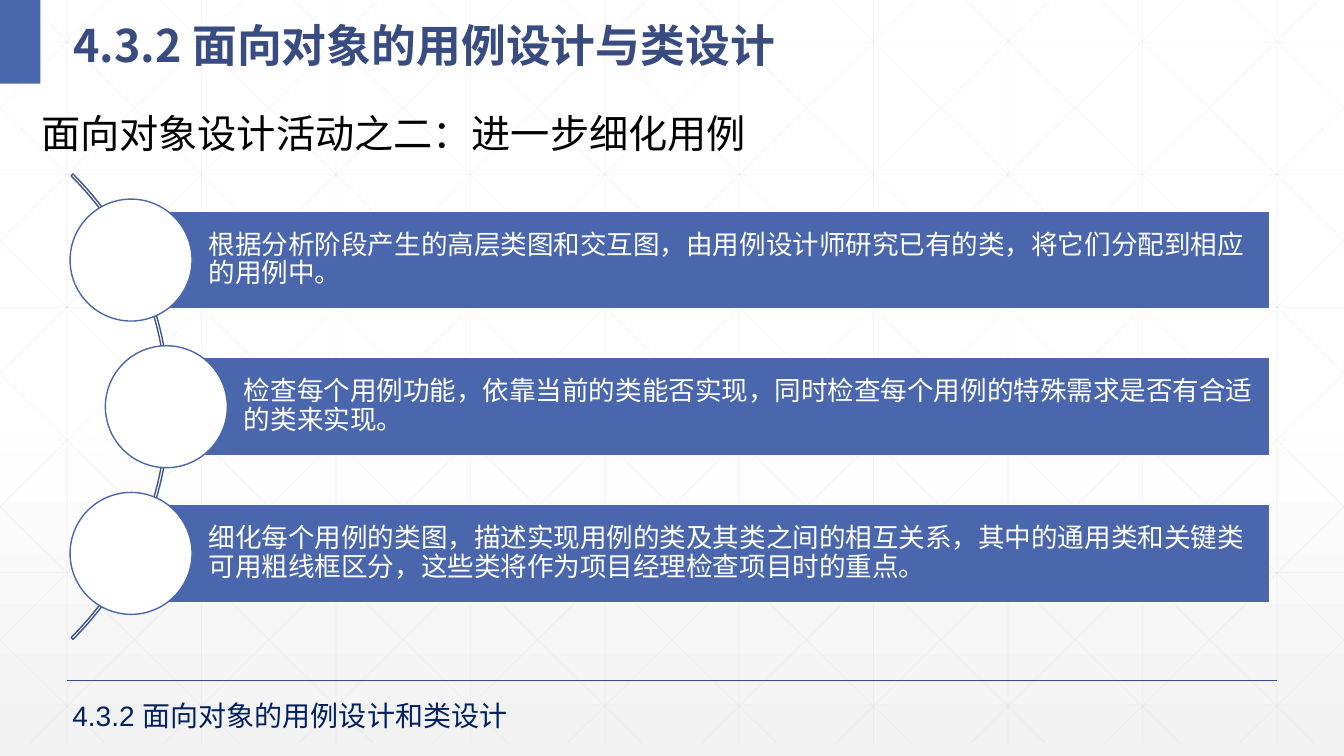
from lxml import etree
from pptx import Presentation
from pptx.dml.color import RGBColor
from pptx.enum.shapes import MSO_CONNECTOR, MSO_SHAPE
from pptx.enum.text import MSO_ANCHOR, PP_ALIGN
from pptx.oxml.ns import qn
from pptx.util import Inches, Pt

STRAIGHT = MSO_CONNECTOR.STRAIGHT
RECT, OVAL, ARC = MSO_SHAPE.RECTANGLE, MSO_SHAPE.OVAL, MSO_SHAPE.BLOCK_ARC
TOP, MIDDLE, LEFT = MSO_ANCHOR.TOP, MSO_ANCHOR.MIDDLE, PP_ALIGN.LEFT

WIDTH, HEIGHT = 13.33, 7.5
COLUMN, ROW = WIDTH / 10, 1.315
GRID_BOTTOM = 7.37
BLUE, DARK_BLUE, WHITE = "4A66AC", "384C81", "FFFFFF"
CJK_FONT = "Noto Sans CJK SC"


def rgb(value):
    return RGBColor.from_string(value)


def write(box, text, size, color, font="Arial", bold=False, spacing=1.0,
          anchor=TOP, wrap=True, left=0.1, inset=0.05):
    frame = box.text_frame
    settings = {"word_wrap": wrap, "vertical_anchor": anchor,
                "margin_left": Inches(left), "margin_right": Inches(inset),
                "margin_top": Inches(0.05), "margin_bottom": Inches(0.05)}
    for name, value in settings.items():
        setattr(frame, name, value)
    para = frame.paragraphs[0]
    para.alignment, para.line_spacing = LEFT, spacing
    span = para.add_run()
    span.text = text
    for name, value in {"size": Pt(size), "name": font, "bold": bold}.items():
        setattr(span.font, name, value)
    span.font.color.rgb = rgb(color)
    latin = span.font._element.find(qn("a:latin"))
    latin.addnext(latin.makeelement(qn("a:ea"), {"typeface": CJK_FONT}))


deck = Presentation()
deck.slide_width, deck.slide_height = Inches(WIDTH), Inches(HEIGHT)
page = deck.slides.add_slide(deck.slide_layouts[6])

# Background: white fading to light grey at the bottom
fill = page.background.fill
fill.gradient()
gradient = page.background._cSld.find(".//" + qn("a:gradFill"))
stops = gradient.find(qn("a:gsLst"))
for stop in list(stops):
    stops.remove(stop)
for percent, color, opacity in [(0, WHITE, 100), (53, WHITE, 100), (100, "F2F2F2", 65)]:
    stop = etree.SubElement(stops, qn("a:gs"), pos=str(percent * 1000))
    tint = etree.SubElement(stop, qn("a:srgbClr"), val=color)
    if opacity < 100:
        etree.SubElement(tint, qn("a:alpha"), val=str(opacity * 1000))
gradient.find(qn("a:lin")).set("ang", str(90 * 60000))

# Faint grid: columns, rows, and diagonals mirrored left to right
grid = []
for column in range(10):
    x = (column + 0.5) * COLUMN
    grid.append((x, 0, x, GRID_BOTTOM))
for row in range(6):
    y = 0.42 + row * ROW
    grid.append((0, y, WIDTH, y))
DIAGONAL_RUN = 7.45
for step in range(-5, 10):
    start = 0.25 + step * COLUMN
    x1, x2 = max(0, start), min(WIDTH, start + DIAGONAL_RUN)
    y1, y2 = [(x - start) / DIAGONAL_RUN * GRID_BOTTOM for x in (x1, x2)]
    grid.append((x1, y1, x2, y2))
    grid.append((WIDTH - x1, y1, WIDTH - x2, y2))

# Draw the grid, then the footer rule
footer_rule = (COLUMN / 2, 6.75, WIDTH - COLUMN / 2, 6.75)
lines = [(ends, "D9D9D9", 0.5, 25) for ends in grid] + [(footer_rule, DARK_BLUE, 1, 100)]
for ends, color, weight, opacity in lines:
    line = page.shapes.add_connector(STRAIGHT, *[Inches(end) for end in ends])
    line.line.color.rgb, line.line.width = rgb(color), Pt(weight)
    properties = line._element.spPr
    if opacity < 100:
        tint = properties.find(".//" + qn("a:srgbClr"))
        etree.SubElement(tint, qn("a:alpha"), val=str(opacity * 1000))
    etree.SubElement(properties, qn("a:effectLst"))

# Shapes: corner block, arc, then a bar and a circle for each step
ARC_SIZE, CIRCLE = 6.53, 1.21
BAR_RIGHT, BAR_HEIGHT = 12.59, 0.97
FIRST_CENTER, PITCH = 2.58, 1.455
steps = [
    (1.3, "根据分析阶段产生的高层类图和交互图，由用例设计师研究已有的类，将它们分配到相应的用例中。"),
    (1.65, "检查每个用例功能，依靠当前的类能否实现，同时检查每个用例的特殊需求是否有合适的类来实现。"),
    (1.3, "细化每个用例的类图，描述实现用例的类及其类之间的相互关系，其中的通用类和关键类可用粗线框区分，这些类将作为项目经理检查项目时的重点。"),
]
shapes = [
    (RECT, 0, 0, 0.4, 0.83, BLUE, None, ""),
    (ARC, -4.85, 0.77, ARC_SIZE, ARC_SIZE, None, "3B528A", ""),
]
for index, (left, text) in enumerate(steps):
    center = FIRST_CENTER + index * PITCH
    shapes.append((RECT, left, center - BAR_HEIGHT / 2, BAR_RIGHT - left, BAR_HEIGHT,
                   BLUE, WHITE, text))
    shapes.append((OVAL, left - CIRCLE / 2, center - CIRCLE / 2, CIRCLE, CIRCLE,
                   WHITE, BLUE, ""))
for kind, left, top, width, height, inside, outline, text in shapes:
    shape = page.shapes.add_shape(kind, *[Inches(v) for v in (left, top, width, height)])
    shape.shadow.inherit = False
    if inside:
        shape.fill.solid()
        shape.fill.fore_color.rgb = rgb(inside)
    else:
        shape.fill.background()
    if outline:
        shape.line.color.rgb, shape.line.width = rgb(outline), Pt(1)
    else:
        shape.line.fill.background()
    if kind == ARC:
        for position, value in enumerate((189, 27, 0.4 / 100)):
            shape.adjustments[position] = value
    if text:
        write(shape, text, 19, WHITE, spacing=0.9, anchor=MIDDLE, left=0.77)

# Title, subtitle and footer
labels = [
    ((0.63, 0, 8.52, 0.73), "4.3.2 面向对象的用例设计与类设计", 32, DARK_BLUE,
     {"font": CJK_FONT, "bold": True, "spacing": 1.3, "anchor": MIDDLE}),
    ((0.31, 1.04, 7.27, 0.57), "面向对象设计活动之二：进一步细化用例", 28, "000000",
     {"wrap": False}),
    ((0.62, 6.88, 6.04, 0.44), "4.3.2 面向对象的用例设计和类设计", 20, "002060", {}),
]
for place, text, size, color, options in labels:
    box = page.shapes.add_textbox(*[Inches(v) for v in place])
    write(box, text, size, color, inset=0.1, **options)

deck.save("out.pptx")
